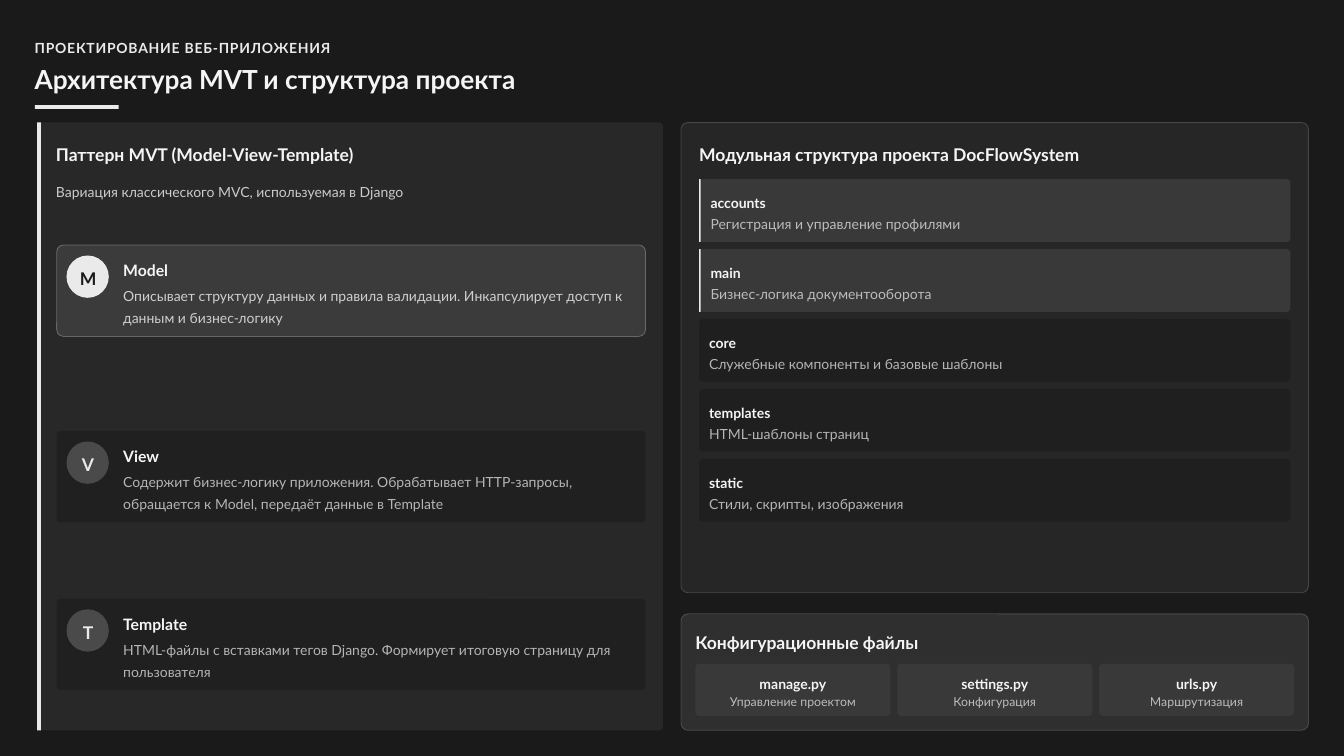
from lxml.etree import SubElement
from pptx import Presentation
from pptx.dml.color import RGBColor
from pptx.enum.shapes import MSO_SHAPE as SHAPE
from pptx.enum.text import MSO_ANCHOR as ANCHOR, PP_ALIGN as ALIGN
from pptx.oxml.ns import qn
from pptx.util import Inches, Pt

FONT = "Lato"
COLORS = {
    "dark": "1A1A1A",
    "panel": "333333",
    "gray": "4A4A4A",
    "accent": "EAEAEA",
    "text": "F5F5F5",
}
CARDS = [
    (3.24, "M", "Model", "Описывает структуру данных и правила валидации. "
     "Инкапсулирует доступ к данным и бизнес-логику", True),
    (5.7, "V", "View", "Содержит бизнес-логику приложения. Обрабатывает "
     "HTTP-запросы, обращается к Model, передаёт данные в Template", False),
    (7.92, "T", "Template", "HTML-файлы с вставками тегов Django. "
     "Формирует итоговую страницу для пользователя", False),
]
MODULES = [
    ("accounts", "Регистрация и управление профилями", True),
    ("main", "Бизнес-логика документооборота", True),
    ("core", "Служебные компоненты и базовые шаблоны", False),
    ("templates", "HTML-шаблоны страниц", False),
    ("static", "Стили, скрипты, изображения", False),
]
FILES = [
    ("manage.py", "Управление проектом"),
    ("settings.py", "Конфигурация"),
    ("urls.py", "Маршрутизация"),
]


def rgb(name):
    return RGBColor.from_string(COLORS[name])


def fade(element, percent):
    if percent < 100:
        for color in element.iter(qn("a:srgbClr")):
            SubElement(color, qn("a:alpha")).set("val", str(percent * 1000))


def add_block(s, kind, x, y, w, h, fill, alpha=100, radius=0, border=0):
    sp = s.shapes.add_shape(kind, Inches(x), Inches(y), Inches(w), Inches(h))
    sp.shadow.inherit = False
    if radius:
        sp.adjustments[0] = radius / min(w, h)
    sp.fill.solid()
    sp.fill.fore_color.rgb = rgb(fill)
    fade(sp._element.spPr.find(qn("a:solidFill")), alpha)
    if border:
        sp.line.color.rgb = rgb("accent")
        sp.line.width = Pt(0.8)
        fade(sp._element.spPr.find(qn("a:ln")), border)
    else:
        sp.line.fill.background()
    return sp


def add_panel(s, x, y, w, h, fill, alpha, radius=0.05, border=0):
    return add_block(s, SHAPE.ROUNDED_RECTANGLE, x, y, w, h, fill, alpha, radius, border)


def add_bar(s, x, y, w, h):
    return add_block(s, SHAPE.RECTANGLE, x, y, w, h, "accent")


def add_text(s, x, y, w, h, text, size=13.3, bold=False, color="text",
             alpha=100, align=ALIGN.LEFT, spacing=1.3, tracking=0):
    tf = s.shapes.add_textbox(Inches(x), Inches(y), Inches(w), Inches(h)).text_frame
    tf.word_wrap = True
    tf.vertical_anchor = ANCHOR.MIDDLE
    tf.margin_left = tf.margin_right = tf.margin_top = tf.margin_bottom = 0
    p = tf.paragraphs[0]
    p.alignment = align
    p.line_spacing = spacing
    r = p.add_run()
    r.text = text
    r.font.name = FONT
    r.font.size = Pt(size)
    r.font.bold = bold
    r.font.color.rgb = rgb(color)
    rPr = r._r.get_or_add_rPr()
    fade(rPr, alpha)
    if tracking:
        rPr.set("spc", str(tracking))


def add_heading(s, x, y, w, text):
    add_text(s, x, y, w, 0.32, text, 16.7, True, spacing=1.2)


def add_card(s, y, letter, title, body, active):
    if active:
        add_panel(s, 0.75, y, 7.79, 1.21, "accent", 10, 0.09, 30)
    else:
        add_panel(s, 0.75, y, 7.79, 1.21, "dark", 50)
    top = y + 0.14
    add_block(s, SHAPE.OVAL, 0.88, top, 0.56, 0.56, "accent" if active else "gray")
    add_text(s, 0.83, top, 0.67, 0.56, letter, 16.7, True,
             "dark" if active else "accent", align=ALIGN.CENTER, spacing=1.2)
    add_text(s, 1.63, top, 6.87, 0.32, title, 15, True)
    add_text(s, 1.63, top + 0.37, 6.87, 0.56, body, alpha=80 if active else 70)


def add_module(s, y, name, role, active):
    if active:
        add_panel(s, 9.25, y, 7.82, 0.83, "accent", 10)
        add_bar(s, 9.25, y, 0.02, 0.83)
    else:
        add_panel(s, 9.25, y, 7.82, 0.83, "dark", 50)
    x = 9.4 if active else 9.38
    add_text(s, x, y + 0.14, 7.63, 0.28, name, bold=True)
    add_text(s, x, y + 0.42, 7.63, 0.28, role, alpha=70)


def add_file(s, x, name, role):
    add_panel(s, x, 8.78, 2.58, 0.69, "gray", 40)
    add_text(s, x + 0.05, 8.87, 2.48, 0.28, name, bold=True, align=ALIGN.CENTER)
    add_text(s, x + 0.05, 9.15, 2.48, 0.23, role, 11.7, alpha=70,
             align=ALIGN.CENTER, spacing=1.2)


def add_header(s):
    add_text(s, 0.46, 0.46, 16.94, 0.28, "ПРОЕКТИРОВАНИЕ ВЕБ-ПРИЛОЖЕНИЯ",
             bold=True, color="accent", tracking=70)
    add_text(s, 0.46, 0.83, 17.03, 0.42, "Архитектура MVT и структура проекта",
             25, True, spacing=1.0)
    add_bar(s, 0.46, 1.39, 1.11, 0.05)


def add_pattern(s):
    add_panel(s, 0.49, 1.62, 8.28, 8.04, "gray", 30)
    add_bar(s, 0.49, 1.62, 0.05, 8.04)
    add_heading(s, 0.74, 1.85, 7.92, "Паттерн MVT (Model-View-Template)")
    add_text(s, 0.74, 2.36, 7.89, 0.28,
             "Вариация классического MVC, используемая в Django", alpha=80)
    for card in CARDS:
        add_card(s, *card)


def add_structure(s):
    add_panel(s, 9.01, 1.62, 8.3, 6.22, "panel", 50, 0.09, 20)
    add_heading(s, 9.25, 1.86, 7.94, "Модульная структура проекта DocFlowSystem")
    step = (6.07 - 2.37) / (len(MODULES) - 1)
    for i, module in enumerate(MODULES):
        add_module(s, 2.37 + i * step, *module)


def add_config(s):
    add_panel(s, 9.01, 8.12, 8.3, 1.54, "accent", 10, 0.09, 20)
    add_heading(s, 9.2, 8.31, 8.03, "Конфигурационные файлы")
    for i, file in enumerate(FILES):
        add_file(s, 9.2 + i * 2.67, *file)


def main():
    prs = Presentation()
    prs.slide_width = Inches(17.78)
    prs.slide_height = Inches(10)
    s = prs.slides.add_slide(prs.slide_layouts[6])
    s.background.fill.solid()
    s.background.fill.fore_color.rgb = rgb("dark")
    add_header(s)
    add_pattern(s)
    add_structure(s)
    add_config(s)
    prs.save("out.pptx")


if __name__ == "__main__":
    main()
